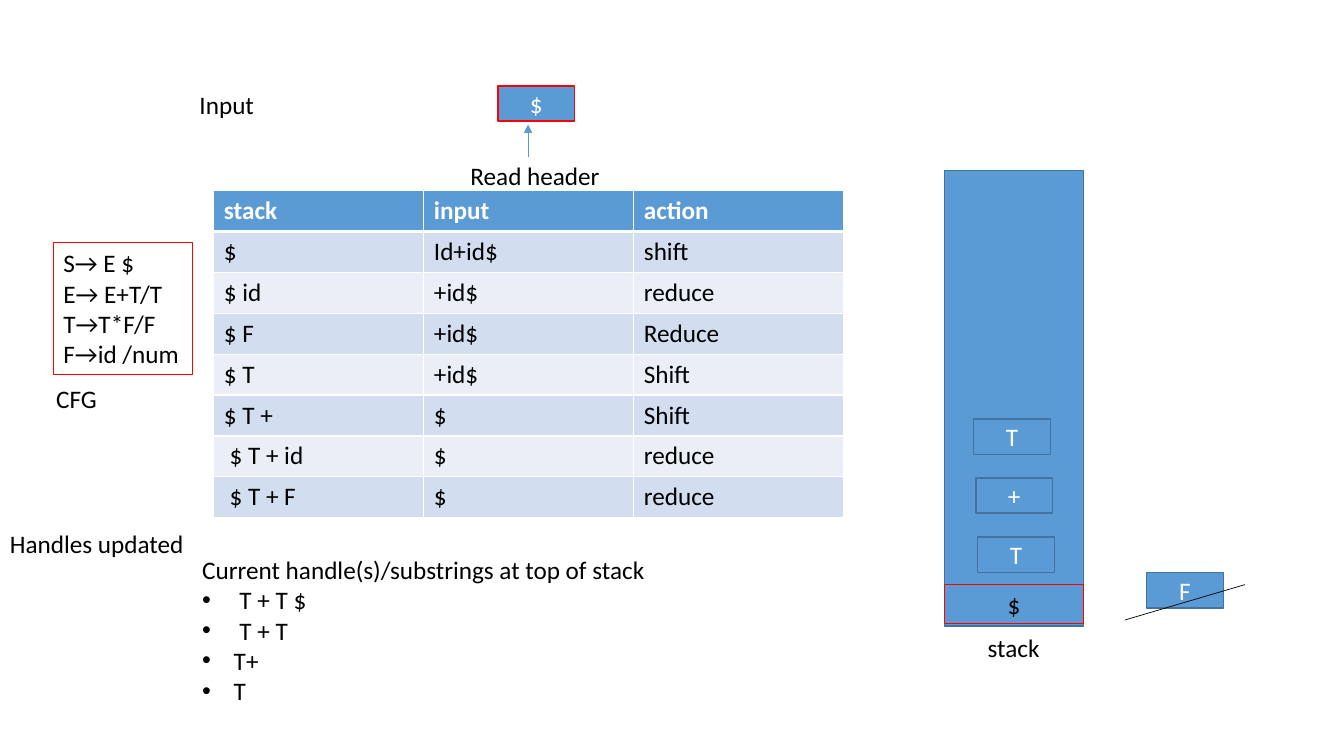
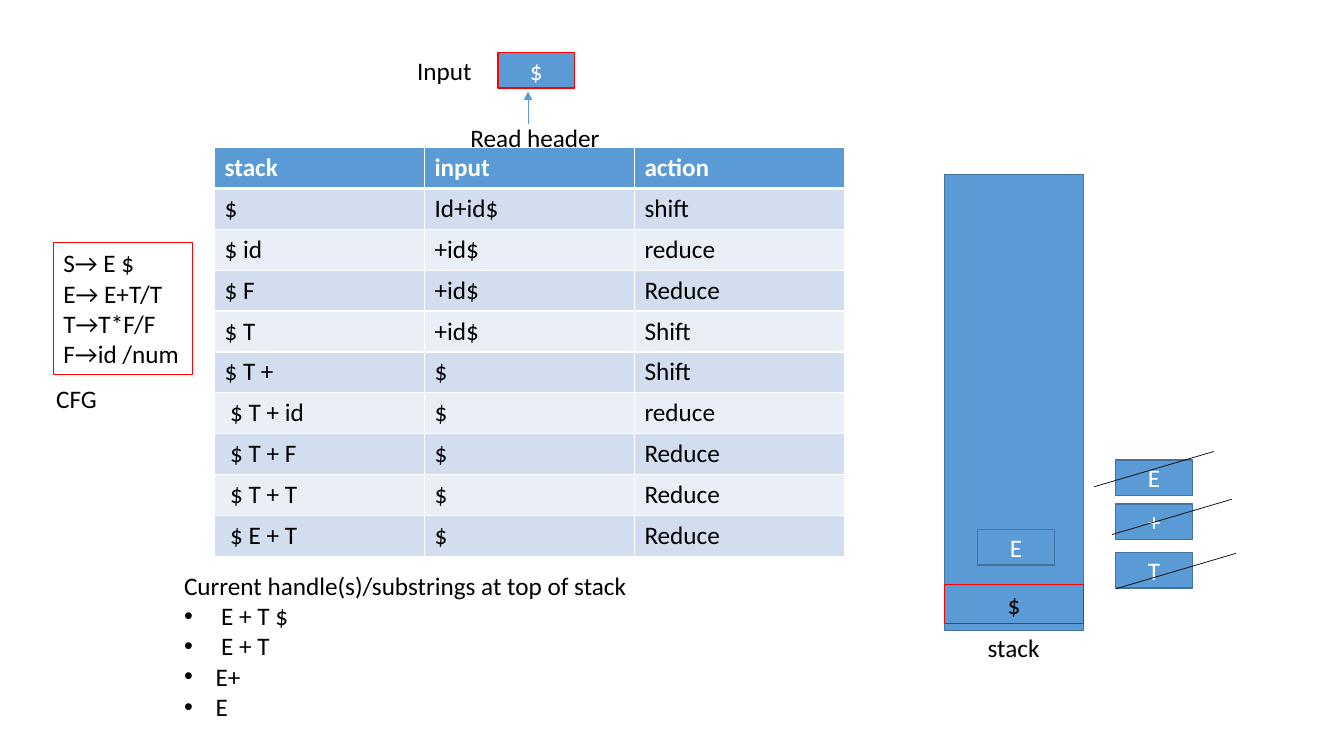
from dataclasses import dataclass

from lxml import etree
from pptx import Presentation
from pptx.dml.color import RGBColor
from pptx.enum.shapes import MSO_CONNECTOR, MSO_SHAPE
from pptx.enum.text import MSO_ANCHOR, MSO_AUTO_SIZE, PP_ALIGN
from pptx.oxml.ns import qn
from pptx.util import Pt

RECT = MSO_SHAPE.RECTANGLE
LINE = MSO_CONNECTOR.STRAIGHT
MID, TOP = MSO_ANCHOR.MIDDLE, MSO_ANCHOR.TOP
LEFT, MIDDLE = PP_ALIGN.LEFT, PP_ALIGN.CENTER
GROW = MSO_AUTO_SIZE.SHAPE_TO_FIT_TEXT


@dataclass(frozen=True)
class Theme:
    font: str = "Calibri"
    size: float = 18
    blue: str = "5B9BD5"
    edge: str = "43739E"
    red: str = "FF0000"
    black: str = "000000"
    white: str = "FFFFFF"
    bands: tuple = ("D2DEEF", "EAEFF7")
    thin: float = 0.5
    rule: float = 1
    thick: float = 3


THEME = Theme()
TILE_W, TILE_H = 54.8, 25.2
LABEL_H = 29.1
COL_W, ROW_H = 150, 29.2


def rgb(code):
    return RGBColor.from_string(code)


def style(par, color=THEME.black, bold=False, align=LEFT):
    par.alignment = align
    font = par.font
    font.name, font.size, font.bold = THEME.font, Pt(THEME.size), bold
    font.color.rgb = rgb(color)


def write(frame, lines, color=THEME.black, align=LEFT):
    for i, line in enumerate(lines):
        par = frame.paragraphs[0] if i == 0 else frame.add_paragraph()
        par.text = line
        style(par, color, align=align)


def label(slide, text, x, y, w):
    frame = slide.shapes.add_textbox(Pt(x), Pt(y), Pt(w), Pt(LABEL_H)).text_frame
    frame.word_wrap = False
    frame.auto_size = GROW
    write(frame, [text])


def block(slide, box, fill=THEME.blue, edge=THEME.edge, width=THEME.rule):
    shape = slide.shapes.add_shape(RECT, *map(Pt, box))
    shape.shadow.inherit = False
    shape.fill.solid()
    shape.fill.fore_color.rgb = rgb(fill)
    shape.line.color.rgb = rgb(edge)
    shape.line.width = Pt(width)
    return shape


def tile(slide, text, x, y, w=TILE_W, h=TILE_H, edge=THEME.edge, color=THEME.white):
    frame = block(slide, (x, y, w, h), edge=edge).text_frame
    frame.vertical_anchor = MID
    write(frame, [text], color, MIDDLE)


def stroke(slide, start, end, color, arrow=False):
    line = slide.shapes.add_connector(LINE, *map(Pt, start + end))
    line.line.color.rgb = rgb(color)
    line.line.width = Pt(THEME.thin)
    props = line._element.spPr
    if arrow:
        etree.SubElement(props.find(qn("a:ln")), qn("a:tailEnd"), type="triangle")
    etree.SubElement(props, qn("a:effectLst"))


# Input tile with the read header below it
def reader(slide, x, y, name_x, gap):
    label(slide, "Input", name_x, y - 1.4, 54)
    tile(slide, "$", x, y, edge=THEME.red)
    tip = y + TILE_H + 2.5
    stroke(slide, (x + 21.6, tip + 23.4), (x + 21.6, tip), THEME.blue, arrow=True)
    label(slide, "Read header", x - 26.6, y + gap, 108)


# Grammar box with its caption
def grammar(slide, x, y):
    shape = block(slide, (x, y, 99.4, 94.3), THEME.white, THEME.red, 0.75)
    frame = shape.text_frame
    frame.word_wrap = False
    frame.auto_size = GROW
    frame.vertical_anchor = TOP
    write(frame, ["S→ E $", "E→ E+T/T", "T→T*F/F", "F→id /num"])
    label(slide, "CFG", x - 5.1, y + 96.5, 44)


# White borders around one cell
def frame_cell(cell, row):
    props = cell._tc.get_or_add_tcPr()
    widths = {
        "L": THEME.rule,
        "R": THEME.rule,
        "T": THEME.thick if row == 1 else THEME.rule,
        "B": THEME.thick if row == 0 else THEME.rule,
    }
    for i, (side, width) in enumerate(widths.items()):
        line = etree.Element(qn("a:ln" + side), w=str(Pt(width)))
        fill = etree.SubElement(line, qn("a:solidFill"))
        etree.SubElement(fill, qn("a:srgbClr"), val=THEME.white)
        props.insert(i, line)


# Table of parser steps
def steps(slide, x, y, rows):
    rows = [("stack", "input", "action")] + rows
    size = len(rows), len(rows[0])
    table = slide.shapes.add_table(
        *size, Pt(x), Pt(y), Pt(COL_W * size[1]), Pt(ROW_H * size[0])
    ).table
    for col in table.columns:
        col.width = Pt(COL_W)
    for r, row in enumerate(rows):
        table.rows[r].height = Pt(ROW_H)
        head = r == 0
        for c, text in enumerate(row):
            cell = table.cell(r, c)
            cell.text = text
            style(cell.text_frame.paragraphs[0],
                  THEME.white if head else THEME.black, head)
            cell.fill.solid()
            cell.fill.fore_color.rgb = rgb(
                THEME.blue if head else THEME.bands[(r - 1) % 2])
            frame_cell(cell, r)


# Bulleted list of handles
def handles(slide, x, y, items):
    frame = slide.shapes.add_textbox(Pt(x), Pt(y), Pt(332), Pt(116.6)).text_frame
    frame.word_wrap = True
    frame.auto_size = GROW
    write(frame, ["Current handle(s)/substrings at top of stack"] + items)
    for par in frame.paragraphs[1:]:
        props = par._p.get_or_add_pPr()
        props.set("marL", str(Pt(22.5)))
        props.set("indent", str(-Pt(22.5)))
        etree.SubElement(props, qn("a:buFont"), typeface="Arial")
        etree.SubElement(props, qn("a:buChar"), char="•")


# Stack column; its tiles sit at offsets from the column's left edge
def stack(slide, x, y, tiles):
    block(slide, (x, y, 99.4, 325.4))
    tile(slide, "$", x, 417.6, 99.4, 28, THEME.red, THEME.black)
    label(slide, "stack", x + 23.8, 447.8, 52)
    for text, dx, top in tiles:
        tile(slide, text, x + dx, top)


# Popped tiles, each struck through from (dx, dy)
def popped(slide, x, tiles):
    for text, top, dx, dy in tiles:
        tile(slide, text, x, top)
        start = x + dx, top + dy
        stroke(slide, start, (start[0] + 85.5, start[1] - 25.2), THEME.black)


STEPS = [
    ("$", "Id+id$", "shift"),
    ("$ id", "+id$", "reduce"),
    ("$ F", "+id$", "Reduce"),
    ("$ T", "+id$", "Shift"),
    ("$ T +", "$", "Shift"),
    (" $ T + id", "$", "reduce"),
]


def first(slide):
    stack(slide, 674.6, 121.7,
          [("T", 20.9, 299.3), ("+", 22.4, 341.3), ("T", 23.8, 383.6)])
    reader(slide, 355.6, 61.3, 135.4, 49.6)
    grammar(slide, 38.2, 173.4)
    handles(slide, 137.4, 392.4, [" T + T $", " T + T", "T+", "T"])
    steps(slide, 152.8, 136.2, STEPS + [(" $ T + F", "$", "reduce")])
    label(slide, "Handles updated", 0, 373.8, 140.4)
    popped(slide, 819, [("F", 409, -15.3, 33.8)])


def second(slide):
    stack(slide, 674.6, 124.8, [("E", 23.8, 378.4)])
    reader(slide, 355.6, 37.7, 290.8, 45.8)
    grammar(slide, 38.2, 173.4)
    handles(slide, 124.4, 403.8, [" E + T $", " E + T", "E+", "E"])
    steps(slide, 153.2, 105.4, STEPS + [
        (text, "$", "Reduce") for text in (" $ T + F", " $ T + T", " $ E + T")])
    popped(slide, 797, [("E", 328.7, -15.5, 19),
                        ("+", 360, -2.6, 21.8),
                        ("T", 394.7, 0.2, 25.8)])


deck = Presentation()
deck.slide_width, deck.slide_height = Pt(960), Pt(540)
for build in (first, second):
    build(deck.slides.add_slide(deck.slide_layouts[6]))
deck.save("out.pptx")
